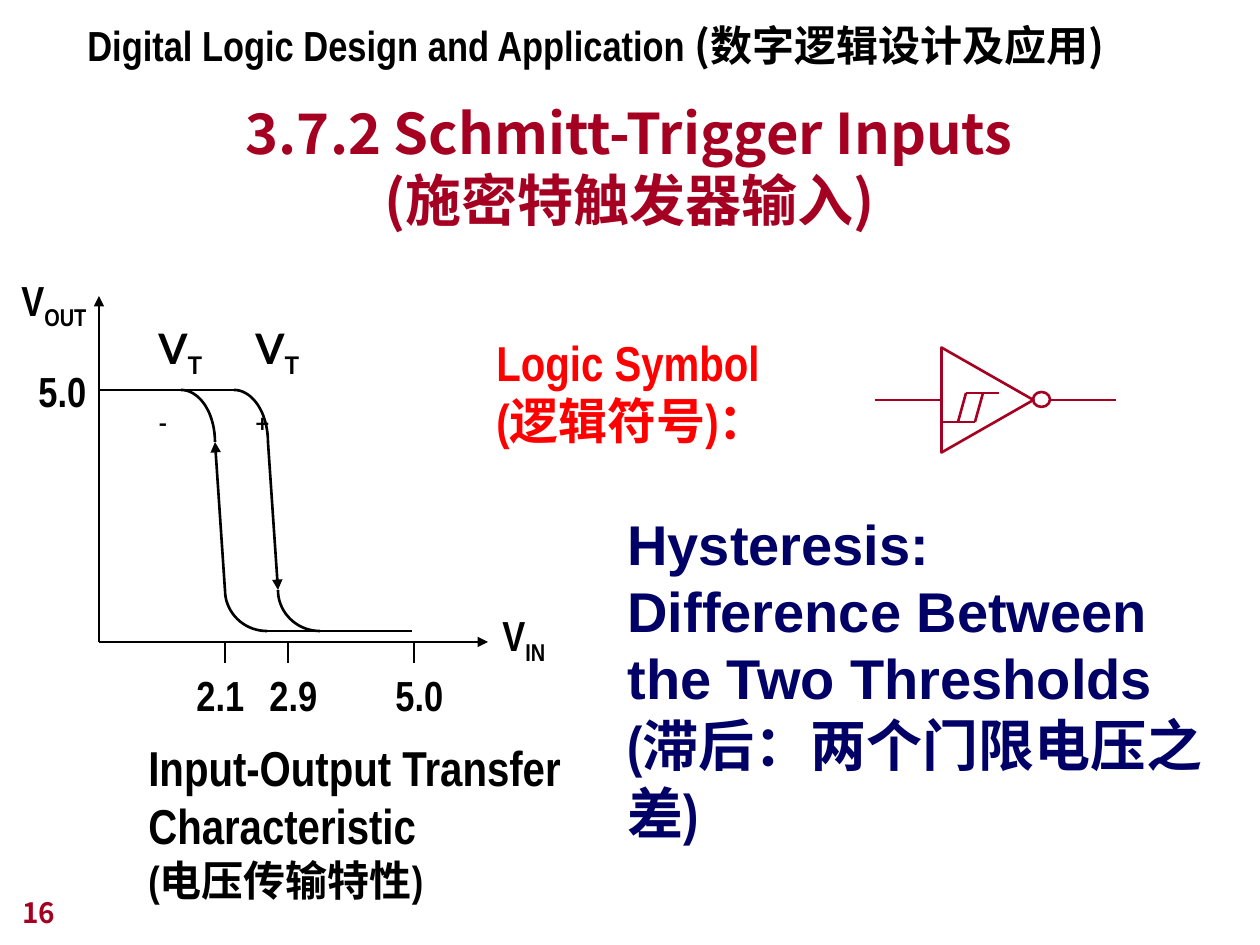
import math
import pptx
import pptx.util
import pptx.dml.color
import pptx.enum.shapes
import pptx.enum.text
import pptx.oxml
import pptx.oxml.ns

RGB = pptx.dml.color.RGBColor
BLACK = RGB(0x00, 0x00, 0x00)
CRIMSON = RGB(0xA5, 0x00, 0x21)
RED = RGB(0xFF, 0x00, 0x00)
NAVY = RGB(0x00, 0x00, 0x66)
NARROW, ARIAL, LATO, NOTO = "Arial Narrow", "Arial", "Lato", "Noto Sans CJK JP"
SHAPE = pptx.enum.shapes.MSO_SHAPE
CONNECTOR = pptx.enum.shapes.MSO_CONNECTOR
ALIGN = pptx.enum.text.PP_ALIGN
ANCHOR = pptx.enum.text.MSO_ANCHOR


def px(n):
    return pptx.util.Emu(round(n * 914400 / 126))


def add_child(parent, tag, **attrs):
    el = pptx.oxml.parse_xml(f"<{tag} {pptx.oxml.ns.nsdecls('a')}/>")
    for key, value in attrs.items():
        el.set(key, value)
    parent.append(el)


def format_run(r, size, color, font):
    r.font.size = pptx.util.Pt(size)
    r.font.bold = True
    r.font.color.rgb = color
    r.font.name = font
    add_child(r._r.get_or_add_rPr(), "a:ea", typeface=NOTO)


def add_text(s, box, text, size, color, font, anchor=ANCHOR.TOP, fixed=True):
    sp = s.shapes.add_textbox(*map(px, box))
    tf = sp.text_frame
    tf.word_wrap = True
    tf.vertical_anchor = anchor
    tf.text = text
    for p in tf.paragraphs:
        if fixed:
            p.line_spacing = pptx.util.Pt(size * 1.2)
        for r in p.runs:
            format_run(r, size, color, font)
    return tf


def add_subscript(tf, text, size, color, font):
    r = tf.paragraphs[0].add_run()
    r.text = text
    format_run(r, size, color, font)
    r._r.get_or_add_rPr().set("baseline", "-25000")


def add_line(s, x1, y1, x2, y2, color, arrow=False):
    c = s.shapes.add_connector(CONNECTOR.STRAIGHT, px(x1), px(y1), px(x2), px(y2))
    c.line.color.rgb = color
    c.line.width = pptx.util.Pt(1.5)
    if arrow:
        add_child(c.line._get_or_add_ln(), "a:tailEnd", type="triangle")
    add_child(c._element.spPr, "a:effectLst")


def outline(sp, color):
    sp.shadow.inherit = False
    sp.fill.background()
    sp.line.color.rgb = color
    sp.line.width = pptx.util.Pt(1.5)


def add_arc(s, cx, cy, rx, ry, start, steps=18):
    angles = [math.radians(start + 90 * i / steps) for i in range(steps + 1)]
    points = [(px(cx + rx * math.cos(a)), px(cy + ry * math.sin(a))) for a in angles]
    fb = s.shapes.build_freeform(*points[0])
    fb.add_line_segments(points[1:], close=False)
    outline(fb.convert_to_shape(), BLACK)


def add_heading(s, x, y):
    tf = add_text(s, (x, y, 1060, 63), "Digital Logic Design and Application ",
                  24, BLACK, NARROW)
    r = tf.paragraphs[0].add_run()
    r.text = "(数字逻辑设计及应用)"
    format_run(r, 24, BLACK, NOTO)
    title = add_text(s, (x + 19, y + 73, 1071, 153),
                     "3.7.2 Schmitt-Trigger Inputs\v(施密特触发器输入)",
                     32, CRIMSON, NOTO, ANCHOR.BOTTOM)
    title.paragraphs[0].alignment = ALIGN.CENTER


def add_transfer_curve(s, x, y):
    left, base, high, low = x + 90, y + 367, y + 115, y + 356
    add_line(s, left, base, x + 479, base, BLACK, True)
    add_line(s, left, base, left, y + 21, BLACK, True)
    add_line(s, left, high, x + 227, high, BLACK)
    add_line(s, x + 258, low, x + 403, low, BLACK)

    for shift, rising in ((0, True), (53, False)):
        cx = x + shift
        add_arc(s, cx + 172, y + 167, 34, 52, 270)
        add_arc(s, cx + 258, y + 315, 42, 41, 90)
        top, bottom = (cx + 206, y + 167), (cx + 216, y + 315)
        ends = bottom + top if rising else top + bottom
        add_line(s, *ends, BLACK, True)

    for tick, label, text in ((216, 175, "2.1"), (279, 248, "2.9"), (405, 374, "5.0")):
        add_line(s, x + tick, base, x + tick, base + 21, BLACK)
        add_text(s, (x + label, base + 21, 75, 63), text, 24, BLACK, NARROW)
    add_text(s, (x + 17, y + 84, 75, 63), "5.0", 24, BLACK, NARROW)

    for dx, dy, w, sub, font in ((0, 0, 92, "OUT", NARROW), (481, 335, 71, "IN", NARROW),
                                 (234, 41, 78, "T+", LATO), (137, 41, 72, "T-", LATO)):
        tf = add_text(s, (x + dx, y + dy, w, 71), "V", 24, BLACK, font,
                      fixed=font == NARROW)
        add_subscript(tf, sub, 24, BLACK, font)

    tf = add_text(s, (x + 127, y + 456, 443, 181),
                  "Input-Output Transfer\nCharacteristic\n(电压传输特性)",
                  28, BLACK, NARROW)
    p = tf.paragraphs[2]
    p.line_spacing = pptx.util.Pt(28.8)
    p.runs[0].font.size = pptx.util.Pt(24)


def add_logic_symbol(s, x, y):
    add_text(s, (x, y, 334, 131), "Logic Symbol\n(逻辑符号)：", 28, RED, NARROW)
    mid = y + 74
    sp = s.shapes.add_shape(SHAPE.ISOSCELES_TRIANGLE, px(x + 451), px(mid - 46),
                            px(105), px(92))
    sp.rotation = 90
    outline(sp, CRIMSON)
    sp = s.shapes.add_shape(SHAPE.OVAL, px(x + 549), px(mid - 8), px(17), px(15))
    outline(sp, CRIMSON)
    top, bottom = mid - 7, mid + 22
    for x1, y1, x2, y2 in ((391, mid, 457, mid), (566, mid, 632, mid),
                           (482, top, 515, top), (457, bottom, 491, bottom),
                           (482, top, 474, bottom), (499, top, 491, bottom)):
        add_line(s, x + x1, y1, x + x2, y2, CRIMSON)


def add_hysteresis(s, x, y):
    tf = add_text(s, (x, y, 610, 349),
                  "Hysteresis: Difference Between the Two Thresholds\n(滞后：两个门限电压之差)",
                  32, NAVY, ARIAL)
    tf.paragraphs[1].runs[0].font.name = NARROW


def main():
    prs = pptx.Presentation()
    prs.slide_width, prs.slide_height = px(1260), px(945)
    s = prs.slides.add_slide(prs.slide_layouts[6])
    add_heading(s, 75, 13)
    add_transfer_curve(s, 9, 275)
    add_hysteresis(s, 615, 503)
    add_logic_symbol(s, 484, 326)
    add_text(s, (10, 872, 262, 63), "16", 16, CRIMSON, NOTO, ANCHOR.BOTTOM, fixed=False)
    prs.save("out.pptx")


if __name__ == "__main__":
    main()
